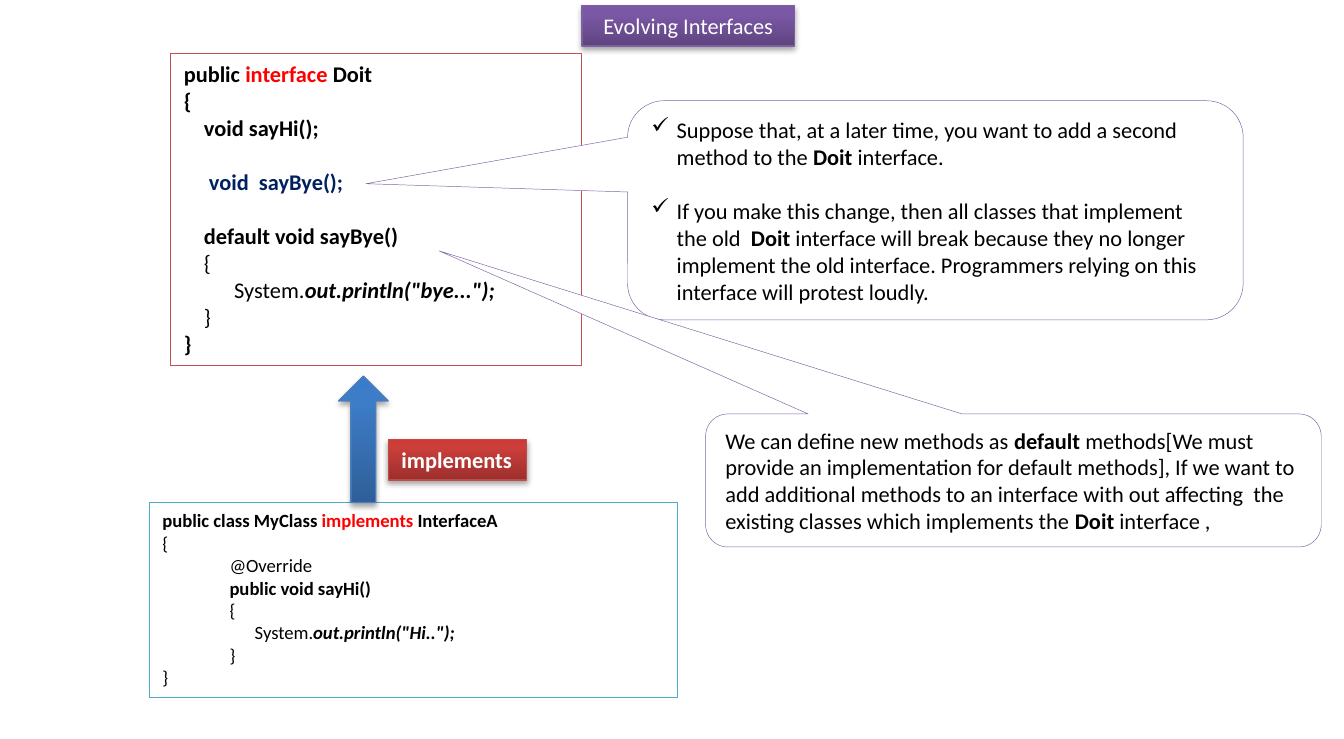
"""Build the slide on evolving interfaces with default methods."""
from copy import deepcopy
from dataclasses import dataclass

from pptx import Presentation
from pptx.dml.color import RGBColor
from pptx.enum.shapes import MSO_SHAPE
from pptx.enum.text import MSO_ANCHOR, MSO_AUTO_SIZE, PP_ALIGN
from pptx.oxml import parse_xml
from pptx.oxml.ns import nsdecls, qn
from pptx.util import Pt

RECTANGLE = MSO_SHAPE.RECTANGLE
UP_ARROW = MSO_SHAPE.UP_ARROW
CALLOUT = MSO_SHAPE.ROUNDED_RECTANGULAR_CALLOUT
TOP, MIDDLE = MSO_ANCHOR.TOP, MSO_ANCHOR.MIDDLE
GROW, FIXED = MSO_AUTO_SIZE.SHAPE_TO_FIT_TEXT, MSO_AUTO_SIZE.NONE
LEFT, CENTER = PP_ALIGN.LEFT, PP_ALIGN.CENTER

FONT = "Calibri"
BLACK, WHITE, RED, NAVY = "000000", "FFFFFF", "FF0000", "002060"
PURPLE = "8064A2"
LINE_GAP = 14.65
BULLET_INDENT = 13.5
STOP_POSITIONS = (0, 0.8, 1)


@dataclass(frozen=True)
class Run:
    text: str
    bold: bool = False
    italic: bool = False
    color: str = ""


@dataclass(frozen=True)
class Line:
    runs: tuple[Run, ...]
    gap_before: float = 0
    indent: float = 0
    bullet: str = ""


@dataclass(frozen=True)
class Box:
    left: float
    top: float
    width: float
    height: float
    outline: str
    outline_width: float
    kind: MSO_SHAPE = RECTANGLE
    gradient: tuple[str, ...] = ()
    pointer: tuple[float, ...] = ()
    lines: tuple[Line, ...] = ()
    size: float = 12
    color: str = BLACK
    align: PP_ALIGN = LEFT
    wrap: bool = True


def rgb(value: str) -> RGBColor:
    return RGBColor.from_string(value)


def plain(text: str, indent: float = 0) -> Line:
    return Line((Run(text),), indent=indent)


def bold(text: str, gap_before: float = 0, indent: float = 0, color: str = "") -> Line:
    return Line((Run(text, bold=True, color=color),), gap_before, indent)


def declaration(start: str, keyword: str, name: str) -> Line:
    return Line((Run(start, True), Run(keyword, True, color=RED), Run(name, True)))


def print_call(start: str, call: str, indent: float = 0) -> Line:
    return Line((Run(start), Run(call, True, True)), indent=indent)


def paint_gradient(shape, colors: tuple[str, ...]) -> None:
    shape.fill.gradient()
    shape.fill.gradient_angle = 90
    stop_list = shape._element.spPr.find(".//" + qn("a:gsLst"))
    stop_list.append(deepcopy(stop_list[-1]))
    for stop, color, position in zip(shape.fill.gradient_stops, colors, STOP_POSITIONS):
        stop.color.rgb = rgb(color)
        stop.position = position


def add_shadow(shape) -> None:
    shape._element.spPr.find(qn("a:effectLst")).append(parse_xml(
        f'<a:outerShdw {nsdecls("a")} blurRad="{Pt(3.1)}" dist="{Pt(1.8)}" '
        'dir="5400000" rotWithShape="0"><a:srgbClr val="000000">'
        '<a:alpha val="35000"/></a:srgbClr></a:outerShdw>'))


def write_line(paragraph, line: Line, box: Box) -> None:
    properties = paragraph._p.get_or_add_pPr()
    if line.indent:
        properties.set("marL", str(Pt(line.indent)))
    if line.bullet:
        properties.set("indent", str(-Pt(line.indent)))
        properties.append(parse_xml(f'<a:buChar {nsdecls("a")} char="{line.bullet}"/>'))
    if line.gap_before:
        paragraph.space_before = Pt(line.gap_before)
    paragraph.alignment = box.align
    paragraph.font.name = FONT
    paragraph.font.size = Pt(box.size)
    paragraph.font.color.rgb = rgb(box.color)
    for part in line.runs:
        run = paragraph.add_run()
        run.text = part.text
        if part.bold:
            run.font.bold = True
        if part.italic:
            run.font.italic = True
        if part.color:
            run.font.color.rgb = rgb(part.color)


def draw_box(slide, box: Box) -> None:
    shape = slide.shapes.add_shape(
        box.kind, Pt(box.left), Pt(box.top), Pt(box.width), Pt(box.height))
    shape.shadow.inherit = False
    shape.line.color.rgb = rgb(box.outline)
    shape.line.width = Pt(box.outline_width)
    for index, value in enumerate(box.pointer):
        shape.adjustments[index] = value
    if box.gradient:
        paint_gradient(shape, box.gradient)
        add_shadow(shape)
    else:
        shape.fill.solid()
        shape.fill.fore_color.rgb = rgb(WHITE)
    if not box.lines:
        return
    frame = shape.text_frame
    frame.word_wrap = box.wrap
    frame.auto_size = FIXED if box.pointer else GROW
    frame.vertical_anchor = MIDDLE if box.pointer else TOP
    for index, line in enumerate(box.lines):
        paragraph = frame.add_paragraph() if index else frame.paragraphs[0]
        write_line(paragraph, line, box)


INTERFACE_CODE = (
    declaration("public ", "interface ", "Doit"),
    bold("{"),
    bold("    void sayHi();"),
    bold("     void  sayBye();", LINE_GAP, color=NAVY),
    bold("    default void sayBye()", LINE_GAP),
    plain("    {"),
    print_call("          System.", 'out.println("bye...");'),
    plain("    }"),
    bold("}"),
)
CLASS_CODE = (
    declaration("public class MyClass ", "implements ", "InterfaceA"),
    plain("{"),
    plain("@Override", 36),
    bold("public void sayHi()", indent=36),
    plain("{", 36),
    print_call("      System.", 'out.println("Hi..");', 36),
    plain("}", 36),
    plain("}"),
)
PROBLEM = (
    Line((Run("Suppose that, at a later time, you want to add a second method to the "),
          Run("Doit ", True), Run("interface.")), indent=BULLET_INDENT, bullet="✓"),
    Line((Run("If you make this change, then all classes that implement the old  "),
          Run("Doit", True),
          Run(" interface will break because they no longer implement the old interface. "
              "Programmers relying on this interface will protest loudly.")),
         LINE_GAP, BULLET_INDENT, "✓"),
)
SOLUTION = (
    Line((Run("We can define new methods as "), Run("default ", True),
          Run("methods[We must provide an implementation for default methods], "
              "If we want to add additional methods to an interface with out affecting  "
              "the existing classes which implements the "),
          Run("Doit", True), Run(" interface ,"))),
)
BOXES = (
    Box(311.8, 2.9, 113.8, 21.8, "7D60A0", 0.75, gradient=("5F4480", "7B58A6", "7C57A8"),
        lines=(plain("Evolving Interfaces"),), color=WHITE, align=CENTER),
    Box(91.4, 28.8, 220.3, 167, "C0504D", 0.5, lines=INTERFACE_CODE),
    Box(79.9, 269.3, 283, 104.4, "4BACC6", 0.5, lines=CLASS_CODE, size=10),
    Box(208, 235.4, 74.2, 21.8, "BF4C48", 0.75, gradient=("9C2F2D", "CB3E3A", "CE3B37"),
        lines=(bold("implements"),), color=WHITE, wrap=False),
    Box(181.4, 201.6, 26.6, 67.7, "4B7EBC", 0.75, UP_ARROW, ("2F5F99", "3D7CC7", "3A7CCB")),
    Box(336.2, 54, 329.8, 117.4, PURPLE, 0.25, CALLOUT,
        pointer=(-0.925, -0.121, 0.167), lines=PROBLEM),
    Box(378, 221.8, 329.8, 71.3, PURPLE, 0.25, CALLOUT,
        pointer=(-0.933, -1.726, 0.167), lines=SOLUTION),
)


def main() -> None:
    presentation = Presentation()
    presentation.slide_width, presentation.slide_height = Pt(720), Pt(396)
    slide = presentation.slides.add_slide(presentation.slide_layouts[6])
    for box in BOXES:
        draw_box(slide, box)
    presentation.save("out.pptx")


if __name__ == "__main__":
    main()
